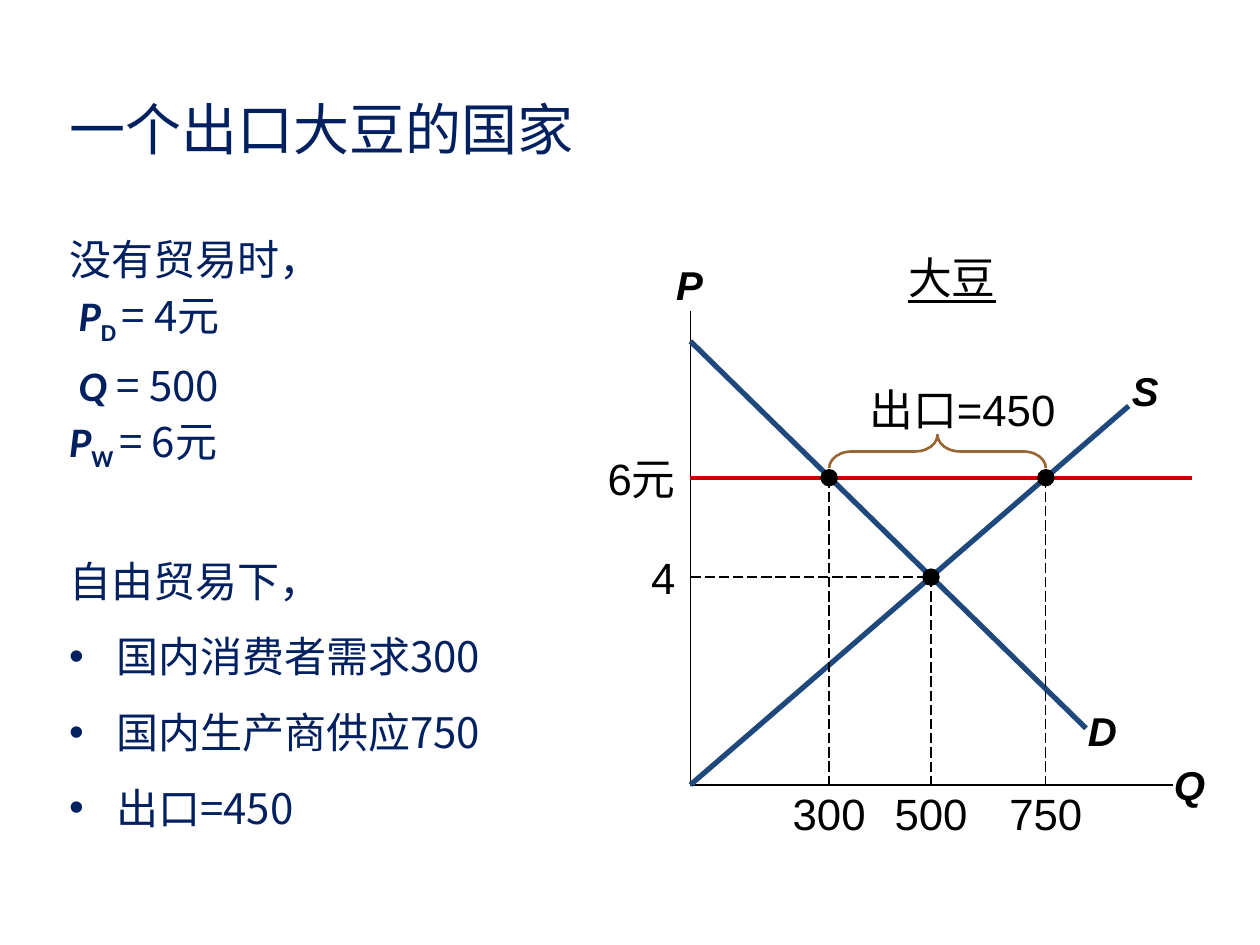
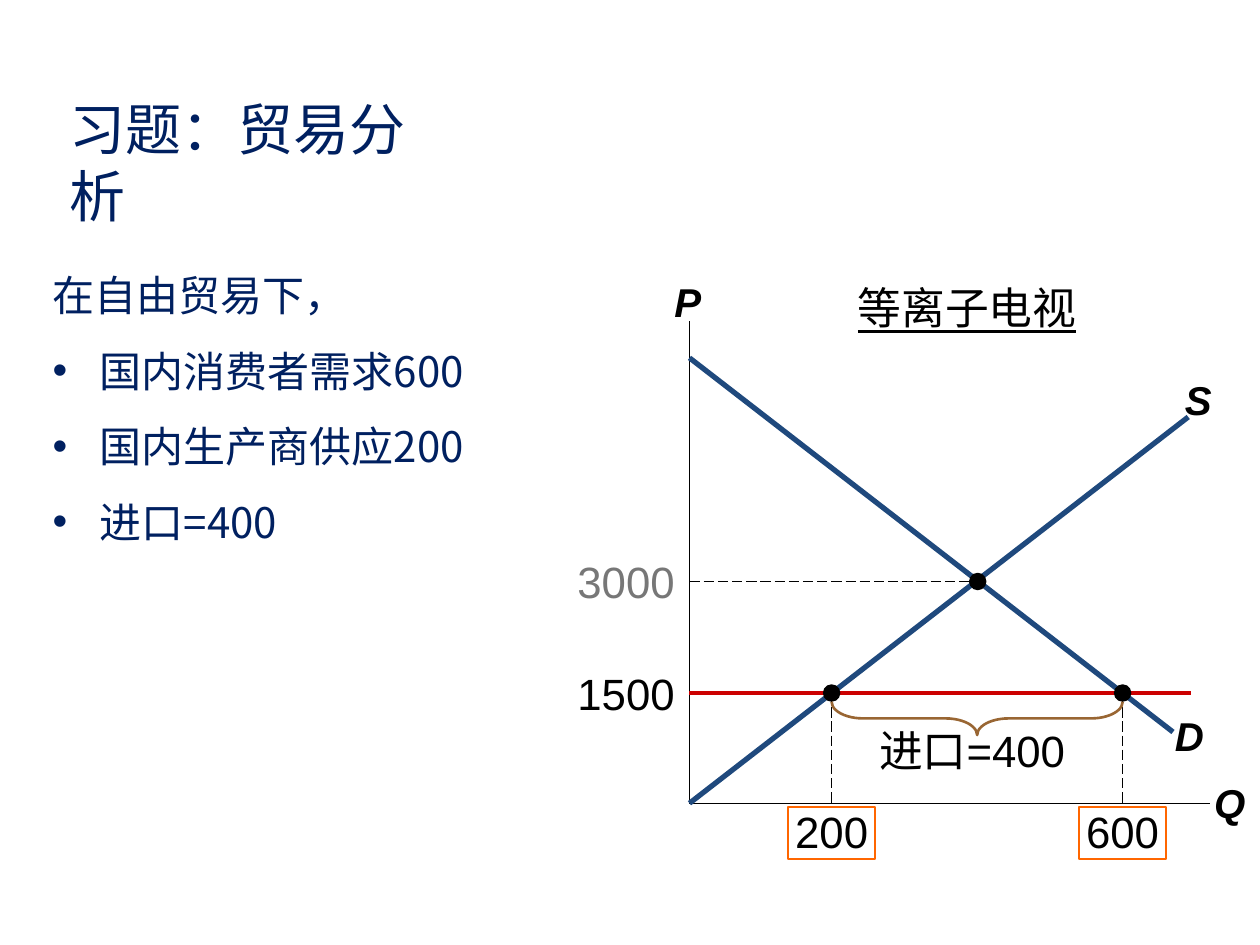
from dataclasses import dataclass

from lxml import etree
from pptx import Presentation
from pptx.dml.color import RGBColor
from pptx.enum import dml, shapes, text
from pptx.oxml.ns import qn
from pptx.util import Pt


@dataclass(frozen=True)
class Theme:
    navy: str = "002060"
    black: str = "000000"
    white: str = "FFFFFF"
    grey: str = "777777"
    curve: str = "1F497D"
    world: str = "CC0000"
    brace: str = "996633"
    frame: str = "FF6600"
    cjk: str = "Noto Sans CJK SC"
    math: str = "Calibri"
    label: str = "Arial"
    head: int = 32
    body: int = 24
    tag: int = 25
    letter: int = 23


T = Theme()

# A body line: (kind, runs); a run: (text, style); None breaks the line.
SLIDES = [
    {
        "title": ("一个出口大豆的国家", 305.5),
        "body": (32.4, 122.4, 271, 356),
        "lines": [
            ("tight", [("没有贸易时，", "cn")]),
            ("tight", [(" ", "var"), ("P", "var"), ("D ", "sub"), ("= 4元", "cn"), None,
                       (" ", "cn"), ("Q ", "var"), ("= 500", "cn")]),
            ("tight", [("P", "var"), ("W ", "sub"), ("= 6元", "cn")]),
            ("part", [("自由贸易下，", "cn")]),
            ("item", [("国内消费者需求300", "cn")]),
            ("item", [("国内生产商供应750", "cn")]),
            ("item", [("出口=450", "cn")]),
        ],
        "panel": (342.7, 134, 363, 367),
        "good": ("大豆", 544, 158.5),
        "origin": (394.5, 448.5),
        "axes": (670.3, 178),
        "demand": (195, 620.6, 416.2),
        "supply": (645, 232),
        "letters": {"P": (394, 162.7), "Q": (679.7, 448), "D": (630, 417.6), "S": (654.5, 223.2)},
        "home": ("4", 329.8, T.black),
        "trade": ("6元", 273, 681),
        "points": [(473.8, "300", "trade"), (532, "500", "home"), (597.6, "750", "trade")],
        "gap": ("出口=450", 550, 234, "up"),
        "boxed": False,
    },
    {
        "title": ("习题：贸易分析", 238),
        "body": (23, 136, 260, 176.5),
        "lines": [
            ("plain", [("在自由贸易下，", "cn")]),
            ("item", [("国内消费者需求600", "cn")]),
            ("item", [("国内生产商供应200", "cn")]),
            ("item", [("进口=400", "cn")]),
        ],
        "panel": (303, 134, 408, 367),
        "good": ("等离子电视", 552.6, 175.7),
        "origin": (394, 459),
        "axes": (691.2, 183.6),
        "demand": (204.5, 670.3, 418.3),
        "supply": (679, 238.3),
        "letters": {"P": (393, 172), "Q": (702.7, 458.6), "D": (679.7, 420), "S": (684.7, 228.2)},
        "home": ("3000", 332.3, T.grey),
        "trade": ("1500", 396, 680.4),
        "points": [(475.2, "200", "trade"), (558.7, "", "home"), (641.5, "600", "trade")],
        "gap": ("进口=400", 555.5, 428.5, "down"),
        "boxed": True,
    },
]


def paint(run, size, color, font, bold=False, slant=False, under=False):
    face = run.font
    face.size, face.name = Pt(size), font
    face.bold, face.italic, face.underline = bold, slant, under
    face.color.rgb = RGBColor.from_string(color)
    etree.SubElement(face._element, qn("a:ea")).set("typeface", T.cjk)


def frame(slide, box, inset):
    area = slide.shapes.add_textbox(*map(Pt, box)).text_frame
    area.word_wrap = True
    if not inset:
        area.margin_left = area.margin_right = area.margin_top = area.margin_bottom = 0
        area.vertical_anchor = text.MSO_ANCHOR.MIDDLE
    return area


def label(slide, words, x, y, wide=150, size=T.tag, color=T.black, align="CENTER", **style):
    """Text in one line, centred on (x, y)."""
    para = frame(slide, (x - wide / 2, y - 15, wide, 30), False).paragraphs[0]
    para.text = words
    para.alignment = text.PP_ALIGN[align]
    paint(para.runs[0], size, color, T.label, **style)


def line(slide, start, end, color=T.black, width=0.75, dash=False):
    link = slide.shapes.add_connector(
        shapes.MSO_CONNECTOR.STRAIGHT, *map(Pt, (*start, *end)))
    link.line.color.rgb = RGBColor.from_string(color)
    link.line.width = Pt(width)
    if dash:
        link.line.dash_style = dml.MSO_LINE.LONG_DASH
    etree.SubElement(link._element.spPr, qn("a:effectLst"))


def shape(slide, kind, box, fill=None, edge=None, width=1):
    item = slide.shapes.add_shape(shapes.MSO_SHAPE[kind], *map(Pt, box))
    item.shadow.inherit = False
    if fill:
        item.fill.solid()
        item.fill.fore_color.rgb = RGBColor.from_string(fill)
    else:
        item.fill.background()
    if edge:
        item.line.color.rgb = RGBColor.from_string(edge)
        item.line.width = Pt(width)
    else:
        item.line.fill.background()
    return item


def bullet(para):
    props = para._p.get_or_add_pPr()
    props.set("marL", str(Pt(27)))
    props.set("indent", str(-Pt(27)))
    etree.SubElement(props, qn("a:buFont")).set("typeface", T.label)
    etree.SubElement(props, qn("a:buChar")).set("char", "•")


def write(slide, data):
    """Title and body text."""
    words, wide = data["title"]
    para = frame(slide, (32.4, 50.4, wide, 46), True).paragraphs[0]
    para.text = words
    paint(para.runs[0], T.head, T.navy, T.cjk)

    area = frame(slide, data["body"], True)
    for n, (kind, runs) in enumerate(data["lines"]):
        para = area.add_paragraph() if n else area.paragraphs[0]
        para.line_spacing = Pt(36) if kind == "tight" else 1.5
        if kind == "part":
            para.space_before = Pt(33)
        if kind == "item":
            bullet(para)
        for part in runs:
            if part is None:
                para.add_line_break()
                continue
            run = para.add_run()
            run.text, style = part
            font = T.cjk if style == "cn" else T.math
            paint(run, T.body, T.navy, font, bold=style != "cn", slant=style == "var")
            if style == "sub":
                run.font._element.set("baseline", "-25000")


def plot(slide, data):
    """Supply and demand graph with the world price."""
    shape(slide, "RECTANGLE", data["panel"], T.white, T.white, 2)
    left, base = data["origin"]
    right, top = data["axes"]
    line(slide, (left, top), (left, base))
    line(slide, (left, base), (right, base))
    start, *end = data["demand"]
    line(slide, (left, start), end, T.curve, 3)
    line(slide, (left, base), data["supply"], T.curve, 3)
    for name, (x, y) in data["letters"].items():
        label(slide, name, x, y, 29, T.letter, bold=True, slant=True)

    home, level, shade = data["home"]
    price, world, far = data["trade"]
    line(slide, (left, world), (far, world), T.world, 2.25)
    for words, y, color in ((home, level, shade), (price, world, T.black)):
        label(slide, words, left - 50.5, y, 84, color=color, align="RIGHT")

    for x, count, kind in data["points"]:
        y = level if kind == "home" else world
        if kind == "home":
            line(slide, (left, y), (x, y), dash=True)
        if count:
            line(slide, (x, y), (x, base), dash=True)
            label(slide, count, x, base + 16, 60)
            if data["boxed"]:
                shape(slide, "RECTANGLE", (x - 25, base + 2, 50, 30), None, T.frame)
        shape(slide, "OVAL", (x - 5, y - 5, 10, 10), T.black)

    words, x, y, way = data["gap"]
    first, last = data["points"][0][0], data["points"][-1][0]
    span, mid = last - first, (first + last) / 2
    turn, shift, curl = (90, -15, 0.68) if way == "up" else (270, 14.5, 0.95)
    brace = shape(slide, "LEFT_BRACE",
                  (mid - 9.5, world + shift - span / 2, 19, span), None, T.brace, 1.5)
    brace.rotation = turn
    brace.adjustments[0] = curl
    label(slide, words, x, y)
    label(slide, *data["good"], under=True)


def main():
    deck = Presentation()
    deck.slide_width, deck.slide_height = Pt(720), Pt(540)
    for data in SLIDES:
        slide = deck.slides.add_slide(deck.slide_layouts[6])
        plot(slide, data)
        write(slide, data)
    deck.save("out.pptx")


if __name__ == "__main__":
    main()
